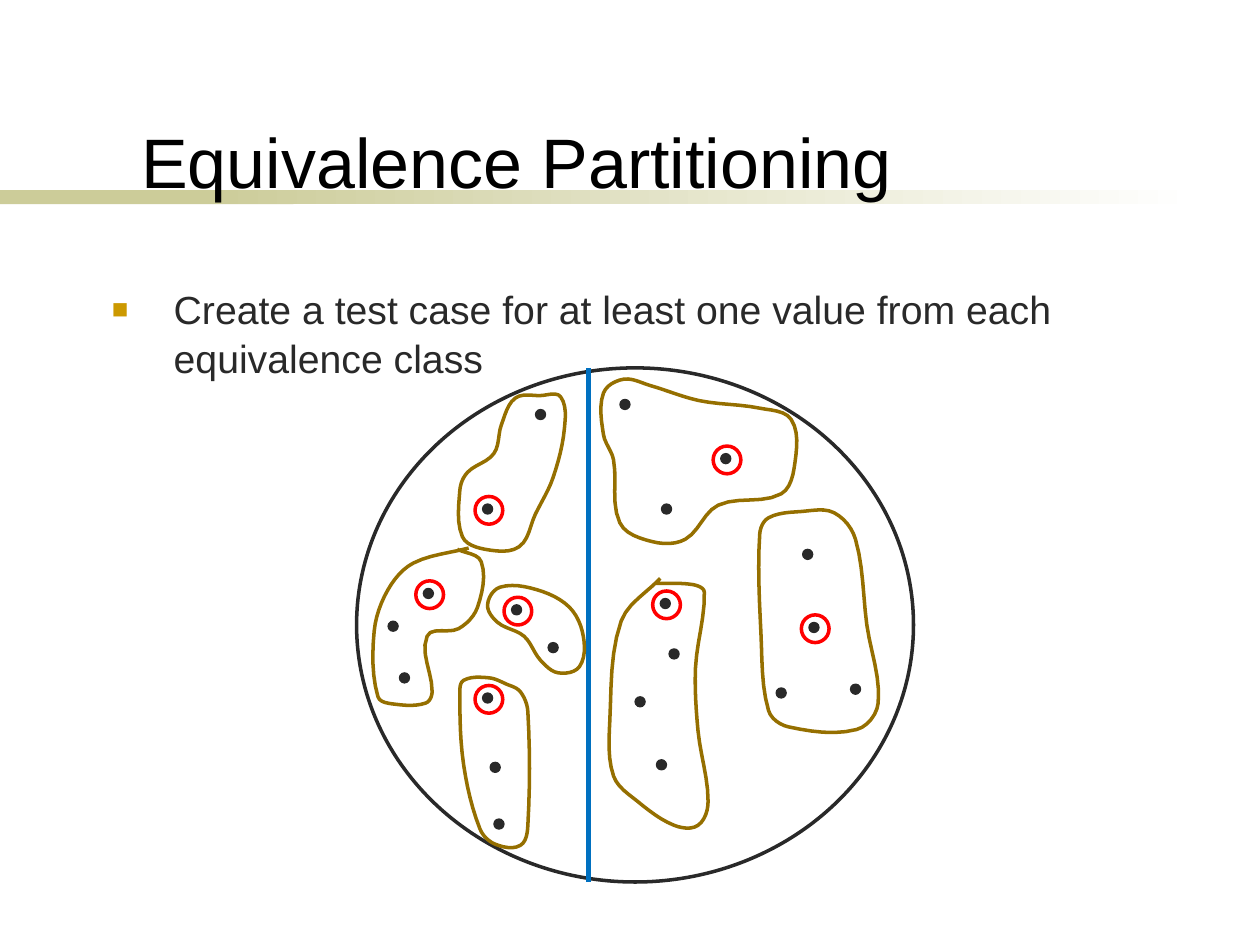
from dataclasses import dataclass
from math import dist

from lxml.etree import SubElement
from pptx import Presentation
from pptx.dml.color import RGBColor
from pptx.enum.shapes import MSO_CONNECTOR, MSO_SHAPE
from pptx.enum.text import MSO_ANCHOR, PP_ALIGN
from pptx.oxml.ns import qn
from pptx.util import Inches, Pt

COLORS = {
    "ink": "292929", "title": "000000", "bar": "CCCC99", "paper": "FFFFFF",
    "split": "0070C0", "class": "956F00", "pick": "FF0000", "bullet": "CC9900",
}
STEPS = 6
DOT, RING, GAP = 0.08, 0.22, 0.06


@dataclass
class Region:
    dots: list
    points: list
    closed: bool = True


REGIONS = [
    Region([(3.83, 4), (4.25, 3.25)],
           [(4.29, 3.14), (4.09, 3.16), (3.98, 3.37), (3.92, 3.6), (3.71, 3.75),
            (3.65, 3.89), (3.67, 4.26), (3.85, 4.36), (4.12, 4.34), (4.25, 4.08),
            (4.39, 3.79), (4.48, 3.4), (4.45, 3.15)]),
    Region([(3.36, 4.67), (3.08, 4.93), (3.17, 5.34)],
           [(3.72, 4.35), (3.28, 4.47), (3.08, 4.68), (2.97, 5.01), (3, 5.53),
            (3.14, 5.59), (3.38, 5.58), (3.43, 5.49), (3.39, 5.05), (3.64, 4.99),
            (3.79, 4.82), (3.82, 4.46), (3.63, 4.36)], False),
    Region([(3.83, 5.5), (3.89, 6.05), (3.92, 6.5)],
           [(4.02, 5.43), (3.88, 5.38), (3.68, 5.4), (3.65, 5.51), (3.68, 6.07),
            (3.81, 6.58), (3.93, 6.7), (4.13, 6.71), (4.19, 6.55), (4.19, 5.65),
            (4.13, 5.49)]),
    Region([(5.18 + GAP, 4.75), (5.31, 5.15), (5.04, 5.53), (5.21, 6.03)],
           [(5.24, 4.59), (4.93, 4.93), (4.84, 5.72), (4.87, 6.16), (5.06, 6.36),
            (5.35, 6.55), (5.54, 6.55), (5.62, 6.36), (5.54, 5.8), (5.52, 5.3),
            (5.59, 4.7), (5.5, 4.64), (5.2, 4.63)], False),
    Region([(5.72, 3.6), (4.92, 3.17), (5.25, 4)],
           [(5.16, 3.06), (4.95, 3.01), (4.79, 3.12), (4.79, 3.45), (4.87, 3.65),
            (4.92, 4.15), (5.18, 4.3), (5.44, 4.28), (5.7, 4.01), (6.2, 3.92),
            (6.31, 3.67), (6.28, 3.33), (6.03, 3.24), (5.55, 3.18)]),
    Region([(4.06, 4.8), (4.35, 5.1)],
           [(4.43, 5.34), (4.6, 5.29), (4.63, 5.05), (4.52, 4.82), (4.26, 4.68),
            (3.97, 4.66), (3.87, 4.8), (3.95, 4.94), (4.16, 5.05), (4.29, 5.24)]),
    Region([(6.42, 4.94), (6.37, 4.36), (6.16, 5.46), (6.75, 5.43)],
           [(6.36, 4.06), (6.1, 4.11), (6.03, 4.24), (6.04, 5.03), (6.1, 5.64),
            (6.26, 5.77), (6.8, 5.79), (6.97, 5.58), (6.88, 4.96), (6.79, 4.28),
            (6.62, 4.07)]),
]


def tint(name: str) -> RGBColor:
    return RGBColor.from_string(COLORS[name])


def paint(shape, fill: str = "", line: str = "", width: float = 0) -> None:
    shape.shadow.inherit = False
    if fill:
        shape.fill.solid()
        shape.fill.fore_color.rgb = tint(fill)
    else:
        shape.fill.background()
    if line:
        shape.line.color.rgb = tint(line)
        shape.line.width = Pt(width)
    else:
        shape.line.fill.background()


def add(slide, kind, box: tuple, **look):
    shape = slide.shapes.add_shape(kind, *map(Inches, box))
    paint(shape, **look)
    return shape


def bend(region: Region) -> list:
    pts, count = region.points, len(region.points)

    def knot(i: int) -> tuple:
        return pts[i % count] if region.closed else pts[min(max(i, 0), count - 1)]

    curve = [pts[0]]
    for i in range(count if region.closed else count - 1):
        before, start, end, after = (knot(i + j) for j in (-1, 0, 1, 2))
        span = dist(start, end)
        lead, trail = span / dist(before, end), span / dist(start, after)
        for step in range(1, STEPS + 1):
            t = step / STEPS
            ease = t * t * (3 - 2 * t)
            curve.append(tuple(
                b + ease * (c - b) + t * (1 - t) ** 2 * lead * (c - a)
                - t * t * (1 - t) * trail * (d - b)
                for a, b, c, d in zip(before, start, end, after)))
    return [(Inches(x), Inches(y)) for x, y in curve]


def trace(slide, region: Region) -> None:
    first, *rest = bend(region)
    form = slide.shapes.build_freeform(*first)
    form.add_line_segments(rest, close=region.closed)
    paint(form.convert_to_shape(), line="class", width=2)
    for x, y in region.dots:
        add(slide, MSO_SHAPE.OVAL, (x, y, DOT, DOT), fill="ink", line="ink", width=0.75)
    x, y = region.dots[0]
    add(slide, MSO_SHAPE.OVAL, (x - GAP, y - GAP, RING, RING), line="pick", width=2)


def write(shape, text: str, box: tuple, size: float, color: str, anchor):
    for name, value in zip(("left", "top", "width", "height"), box):
        setattr(shape, name, Inches(value))
    frame = shape.text_frame
    frame.word_wrap = True
    frame.vertical_anchor = anchor
    para = frame.paragraphs[0]
    para.alignment = PP_ALIGN.LEFT
    run = para.add_run()
    run.text = text
    style = {"name": "Arial", "size": Pt(size)}
    for name, value in style.items():
        setattr(run.font, name, value)
    run.font.color.rgb = tint(color)
    return para


def bullet(para) -> None:
    props = para._p.get_or_add_pPr()
    props.set("marL", str(Inches(0.49)))
    props.set("indent", str(Inches(-0.49)))
    SubElement(SubElement(props, qn("a:buClr")), qn("a:srgbClr"), val=COLORS["bullet"])
    SubElement(props, qn("a:buSzPct"), val="70000")
    SubElement(props, qn("a:buFont"), typeface="Arial")
    SubElement(props, qn("a:buChar"), char="■")


def main() -> None:
    deck = Presentation()
    deck.slide_width, deck.slide_height = Inches(10), Inches(7.5)
    slide = deck.slides.add_slide(deck.slide_layouts[5])

    add(slide, MSO_SHAPE.RECTANGLE, (0, 1.51, 2.33, 0.11), fill="bar")
    fade = add(slide, MSO_SHAPE.RECTANGLE, (1.58, 1.51, 7.92, 0.11))
    fade.fill.gradient()
    fade.fill.gradient_angle = 0
    for stop, name in zip(fade.fill.gradient_stops, ("bar", "paper")):
        stop.color.rgb = tint(name)

    title = slide.shapes.title
    title._element.getparent().append(title._element)
    write(title, "Equivalence Partitioning", (1.02, 0.11, 7.83, 1.55), 40, "title",
          MSO_ANCHOR.BOTTOM)
    box = (0.79, 2.2, 8.5, 0.92)
    body = slide.shapes.add_textbox(*map(Inches, box))
    para = write(body, "Create a test case for at least one value from each equivalence class",
                 box, 22.4, "ink", MSO_ANCHOR.TOP)
    para.line_spacing = 1.04
    bullet(para)

    add(slide, MSO_SHAPE.OVAL, (2.83, 2.92, 4.42, 4.08), line="ink", width=2)
    split = slide.shapes.add_connector(
        MSO_CONNECTOR.STRAIGHT, *map(Inches, (4.67, 2.92, 4.67, 7)))
    split.line.color.rgb = tint("split")
    split.line.width = Pt(3)
    SubElement(split._element.spPr, qn("a:effectLst"))

    for region in REGIONS:
        trace(slide, region)
    deck.save("out.pptx")


if __name__ == "__main__":
    main()
